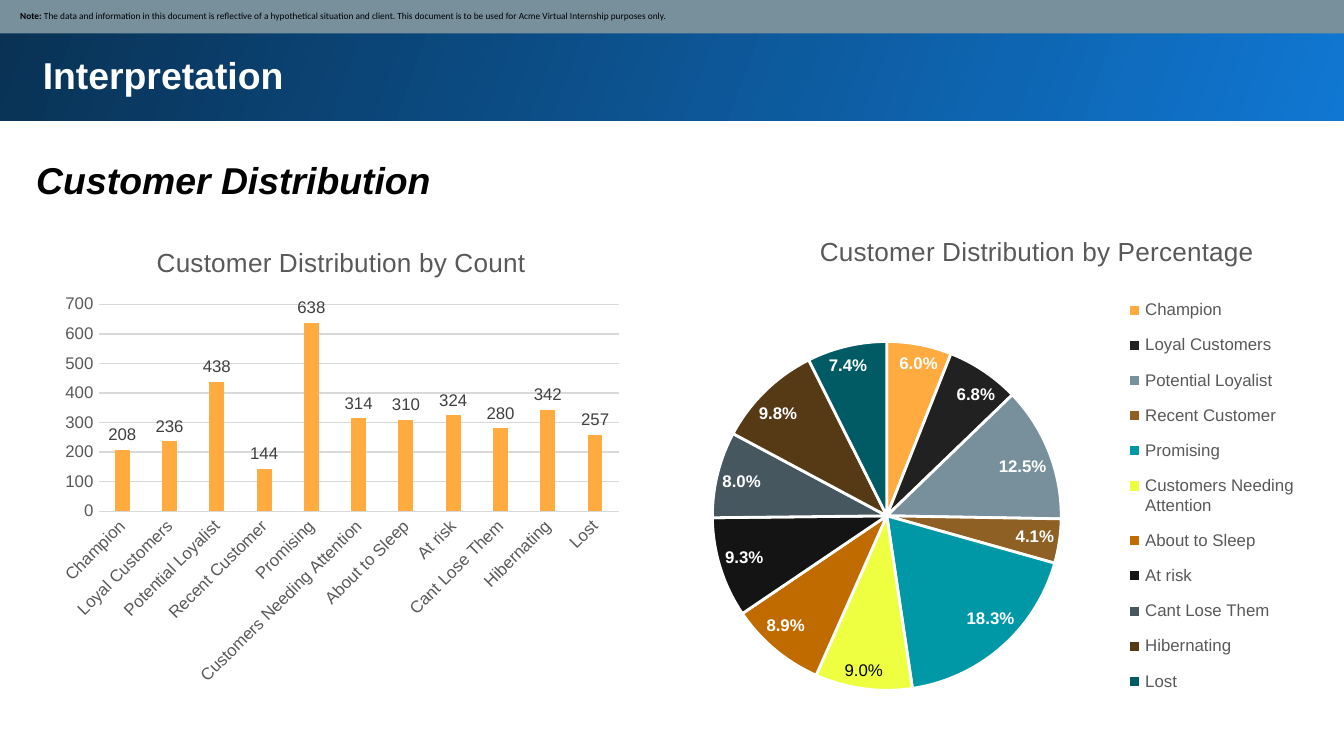
from lxml.etree import SubElement
from pptx import Presentation
from pptx.chart.data import CategoryChartData
from pptx.dml.color import RGBColor
from pptx.enum.chart import XL_CHART_TYPE, XL_LABEL_POSITION, XL_LEGEND_POSITION, XL_TICK_MARK
from pptx.enum.shapes import MSO_SHAPE
from pptx.enum.text import MSO_ANCHOR, PP_ALIGN
from pptx.oxml.ns import qn
from pptx.util import Inches, Pt

WHITE = RGBColor(0xFF, 0xFF, 0xFF)
BLACK = RGBColor(0, 0, 0)
BLUE = RGBColor(0x10, 0x77, 0xD2)
NAVY = RGBColor(0x09, 0x31, 0x53)
SLATE = RGBColor(0x78, 0x90, 0x9C)
GREY = RGBColor(0x59, 0x59, 0x59)
DARK_GREY = RGBColor(0x40, 0x40, 0x40)
LIGHT_GREY = RGBColor(0xD9, 0xD9, 0xD9)
ORANGE = RGBColor(0xFF, 0xAB, 0x40)

SEGMENTS = [
    ("Champion", 208, 0.06, ORANGE),
    ("Loyal Customers", 236, 0.068, RGBColor(0x21, 0x21, 0x21)),
    ("Potential Loyalist", 438, 0.125, SLATE),
    ("Recent Customer", 144, 0.041, RGBColor(0x8F, 0x60, 0x24)),
    ("Promising", 638, 0.183, RGBColor(0x00, 0x97, 0xA7)),
    ("Customers Needing Attention", 314, 0.09, RGBColor(0xEE, 0xFF, 0x41)),
    ("About to Sleep", 310, 0.089, RGBColor(0xBF, 0x6B, 0x00)),
    ("At risk", 324, 0.093, RGBColor(0x14, 0x14, 0x14)),
    ("Cant Lose Them", 280, 0.08, RGBColor(0x46, 0x57, 0x60)),
    ("Hibernating", 342, 0.098, RGBColor(0x56, 0x3A, 0x16)),
    ("Lost", 257, 0.074, RGBColor(0x00, 0x5B, 0x64)),
]
NAMES, COUNTS, SHARES, COLORS = zip(*SEGMENTS)
YELLOW_SEGMENT = NAMES.index("Customers Needing Attention")


def style_font(font, size, color, bold=False, name="Arial"):
    """Set the look of a font."""
    font.name, font.size, font.bold = name, Pt(size), bold
    font.color.rgb = color


def add_band(slide, left, top, width, height):
    """Add a borderless full-width rectangle."""
    band = slide.shapes.add_shape(
        MSO_SHAPE.RECTANGLE, Inches(left), Inches(top), Inches(width), Inches(height))
    band.shadow.inherit = False
    band.line.fill.background()
    return band


def set_insets(frame, inset):
    """Give a text frame equal margins and wrapping."""
    frame.word_wrap = True
    frame.margin_left = frame.margin_right = Inches(inset)
    frame.margin_top = frame.margin_bottom = Inches(inset)


def add_heading(slide, text, left, top, width, height, inset, color, italic=False):
    """Add a bold heading in a text box."""
    box = slide.shapes.add_textbox(Inches(left), Inches(top), Inches(width), Inches(height))
    set_insets(box.text_frame, inset)
    paragraph = box.text_frame.paragraphs[0]
    paragraph.text = text
    style_font(paragraph.font, 20, color, bold=True)
    paragraph.font.italic = italic


def add_header(slide, left, top, width, height):
    """Add the gradient banner with the slide title."""
    banner = add_band(slide, left, top, width, height)
    banner.fill.gradient()
    banner.fill.gradient_angle = 160
    for stop, color in zip(banner.fill.gradient_stops, (BLUE, NAVY)):
        stop.color.rgb = color
    add_heading(slide, "Interpretation", left + 0.24, top + 0.31, 9.37, 0.83, 0.1, WHITE)


def add_note(slide, left, top, width, height):
    """Add the disclaimer strip."""
    strip = add_band(slide, left, top, width, height)
    strip.fill.solid()
    strip.fill.fore_color.rgb = SLATE
    frame = strip.text_frame
    set_insets(frame, 0.05)
    frame.margin_left = Inches(0.16)
    frame.vertical_anchor = MSO_ANCHOR.MIDDLE
    paragraph = frame.paragraphs[0]
    paragraph.alignment = PP_ALIGN.LEFT
    for text, bold in (
        ("Note: ", True),
        ("The data and information in this document is reflective of a hypothetical situation "
         "and client. This document is to be used for Acme Virtual Internship purposes only.", False),
    ):
        run = paragraph.add_run()
        run.text = text
        style_font(run.font, 5, BLACK, bold, "Calibri")


def set_layout(element, index, **fractions):
    """Place a chart part by fractions of the chart area."""
    for old_layout in element.findall(qn("c:layout")):
        element.remove(old_layout)
    layout = SubElement(element, qn("c:layout"))
    element.insert(index, layout)
    manual = SubElement(layout, qn("c:manualLayout"))
    if "w" in fractions and index == 0:
        SubElement(manual, qn("c:layoutTarget")).set("val", "inner")
    for key in ("x", "y"):
        SubElement(manual, qn(f"c:{key}Mode")).set("val", "edge")
    for key, value in fractions.items():
        SubElement(manual, qn(f"c:{key}")).set("val", str(value))


def add_chart(slide, chart_type, title, values, left, top, width, height):
    """Add a titled one-series chart of the customer segments."""
    data = CategoryChartData()
    data.categories = NAMES
    data.add_series("Series 1", values)
    chart = slide.shapes.add_chart(
        chart_type, Inches(left), Inches(top), Inches(width), Inches(height), data).chart
    style_font(chart.font, 10, BLACK)
    chart.has_title = True
    chart.has_legend = False
    paragraph = chart.chart_title.text_frame.paragraphs[0]
    paragraph.text = title
    style_font(paragraph.font, 14, GREY)
    return chart


def add_count_chart(slide, left, top, width, height):
    """Add the column chart of customer counts."""
    chart = add_chart(slide, XL_CHART_TYPE.COLUMN_CLUSTERED, "Customer Distribution by Count",
                      COUNTS, left, top, width, height)
    set_layout(chart._chartSpace.chart.plotArea, 0, x=0.08, y=0.17, w=0.9, h=0.44)
    plot = chart.plots[0]
    plot.vary_by_categories = False
    plot.gap_width, plot.overlap = 219, -27
    series = plot.series[0]
    series.format.fill.solid()
    series.format.fill.fore_color.rgb = ORANGE
    labels = series.data_labels
    labels.show_value = True
    labels.position = XL_LABEL_POSITION.OUTSIDE_END
    style_font(labels.font, 9, DARK_GREY)
    for axis in (chart.category_axis, chart.value_axis):
        axis.major_tick_mark = axis.minor_tick_mark = XL_TICK_MARK.NONE
        style_font(axis.tick_labels.font, 9, GREY)
    chart.category_axis._element.txPr.find(qn("a:bodyPr")).set("rot", "-2700000")
    chart.value_axis.format.line.fill.background()
    chart.value_axis.maximum_scale = 700
    for line in (chart.category_axis.format.line, chart.value_axis.major_gridlines.format.line):
        line.color.rgb = LIGHT_GREY
        line.width = Pt(0.75)


def add_share_chart(slide, left, top, width, height):
    """Add the pie chart of customer shares with its legend."""
    chart = add_chart(slide, XL_CHART_TYPE.PIE, "Customer Distribution by Percentage",
                      SHARES, left, top, width, height)
    set_layout(chart._chartSpace.chart.plotArea, 0, x=0.12, y=0.16, w=0.51, h=0.84)
    set_layout(chart.chart_title._element, 1, x=0.27, y=0.01)
    chart.has_legend = True
    chart.legend.position = XL_LEGEND_POSITION.BOTTOM
    chart.legend.include_in_layout = False
    style_font(chart.legend.font, 9, GREY)
    set_layout(chart.legend._element, 1, x=0.71, y=0.12, w=0.28, h=0.84)
    chart.plots[0].vary_by_categories = True
    series = chart.plots[0].series[0]
    for index, color in enumerate(COLORS):
        point = series.points[index].format
        point.fill.solid()
        point.fill.fore_color.rgb = color
        point.line.color.rgb = WHITE
        point.line.width = Pt(1.5)
    labels = series.data_labels
    labels.show_value = True
    labels.number_format, labels.number_format_is_linked = "0.0%", False
    labels.position = XL_LABEL_POSITION.BEST_FIT
    style_font(labels.font, 9, WHITE, bold=True)
    label = series.points[YELLOW_SEGMENT].data_label
    run = label.text_frame.paragraphs[0].add_run()
    run.text = f"{SHARES[YELLOW_SEGMENT]:.1%}"
    style_font(run.font, 9, BLACK)
    label.position = XL_LABEL_POSITION.BEST_FIT


def main():
    """Build and save the slide."""
    presentation = Presentation()
    presentation.slide_width = Inches(10)
    presentation.slide_height = presentation.slide_width * 9 // 16
    slide = presentation.slides.add_slide(presentation.slide_layouts[6])
    add_header(slide, -0.02, -0.02, 10.05, 0.92)
    add_note(slide, -0.01, -0.01, 10.03, 0.26)
    add_heading(slide, "Customer Distribution", 0.22, 1.12, 9.16, 0.44, 0.05, BLACK, italic=True)
    add_count_chart(slide, 0.39, 1.67, 4.3, 3.5)
    add_share_chart(slide, 4.69, 1.67, 5.09, 3.74)
    presentation.save("out.pptx")


if __name__ == "__main__":
    main()
